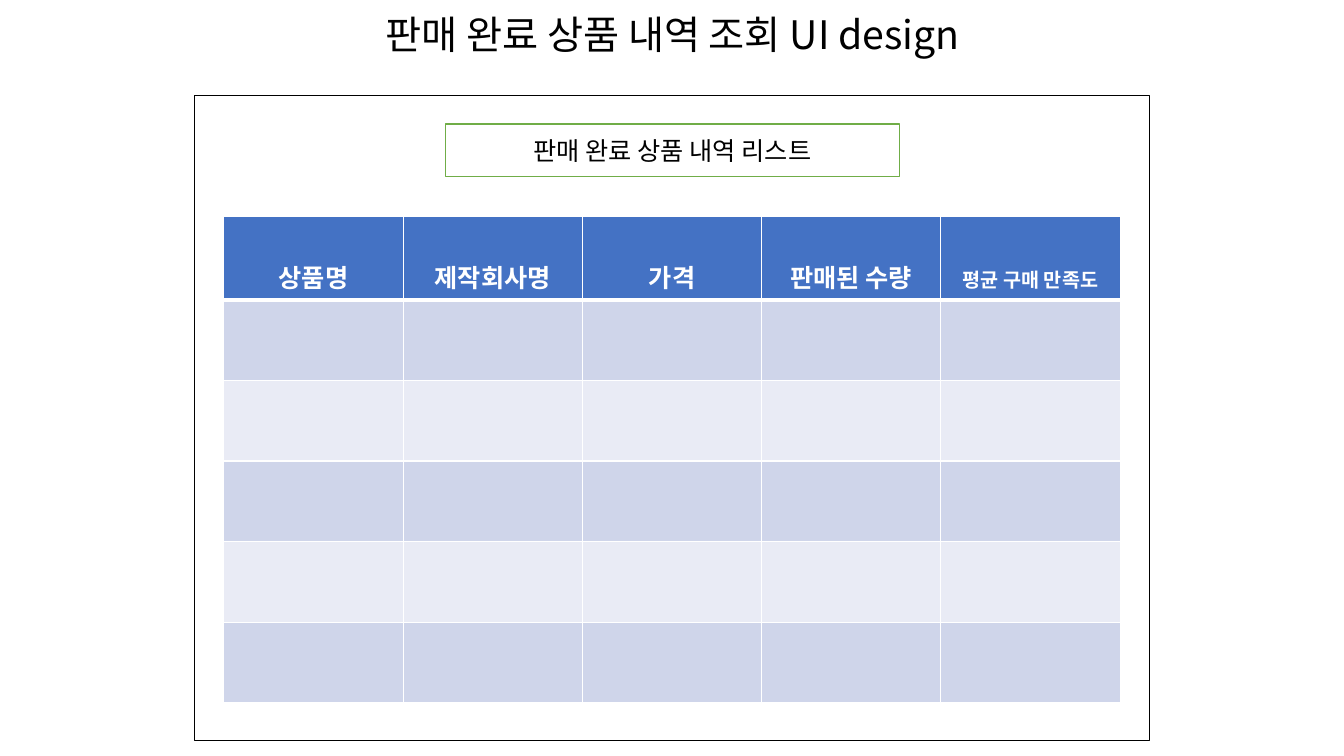
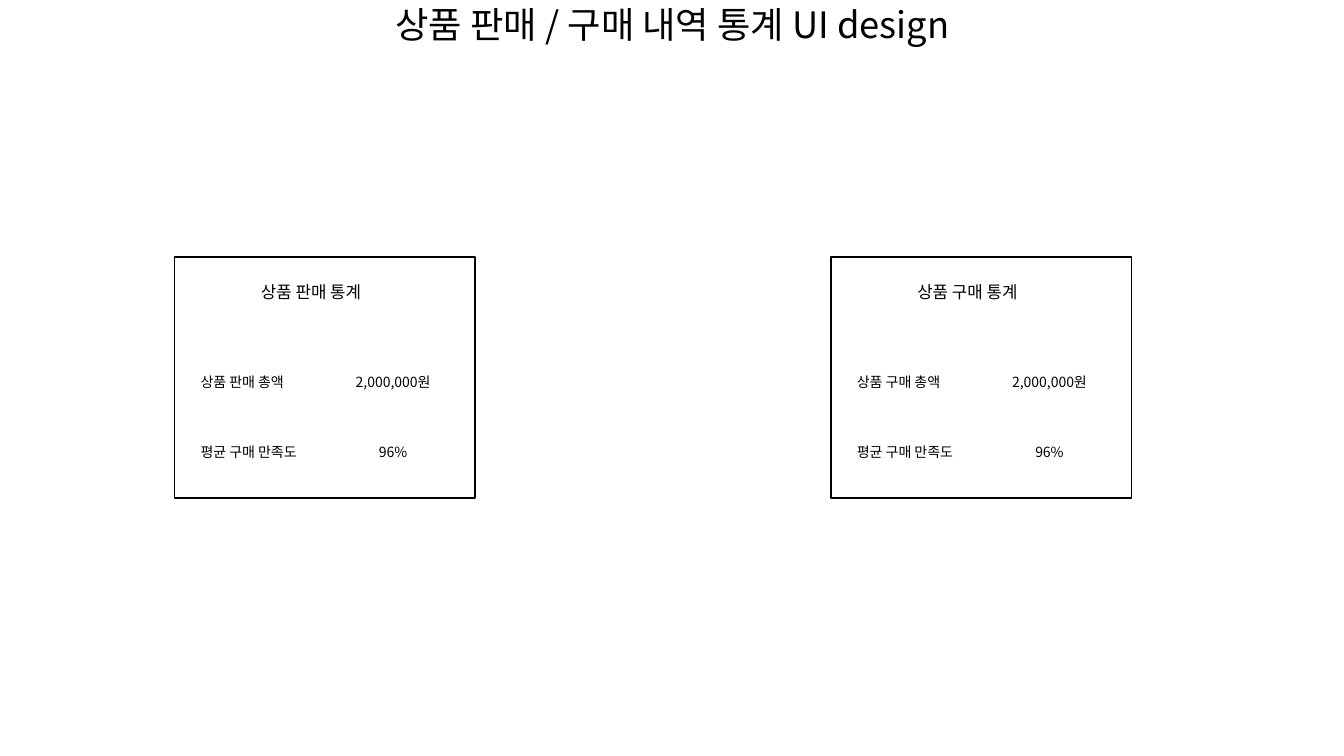
from lxml.etree import SubElement
from pptx import Presentation
from pptx.dml.color import RGBColor
from pptx.enum.shapes import MSO_SHAPE
from pptx.enum.text import MSO_ANCHOR, MSO_AUTO_SIZE, PP_ALIGN
from pptx.oxml.ns import qn
from pptx.util import Inches, Pt

# Shared style
FONT = "Noto Sans CJK KR"
BLACK, WHITE, GREEN, BLUE = "000000", "FFFFFF", "70AD47", "4472C4"
BANDS = ("CFD5EA", "E9EBF5")

# Content
SALES_TITLE = "판매 완료 상품 내역 조회 UI design"
LIST_HEADING = "판매 완료 상품 내역 리스트"
COLUMNS = [  # label, size, line spacing
    ("상품명", 18, 2), ("제작회사명", 18, 2), ("가격", 18, 2),
    ("판매된 수량", 18, 2), ("평균 구매 만족도", 14, 2.5),
]
EMPTY_ROWS = 5

STATS_TITLE = "상품 판매 / 구매 내역 통계 UI design"
CARDS = [  # left, heading, rows
    (1.73, "상품 판매 통계",
     [("상품 판매 총액", "2,000,000원"), ("평균 구매 만족도", "96%")]),
    (8.24, "상품 구매 통계",
     [("상품 구매 총액", "2,000,000원"), ("평균 구매 만족도", "96%")]),
]
CARD_TOP, ROW_TOP, ROW_STEP, VALUE_CENTER = 2.55, 3.66, 0.69, 1.91


def rgb(color):
    return RGBColor.from_string(color)


def box(*lengths):
    return [Inches(length) for length in lengths]


def write(frame, text, size=18, color=BLACK, bold=False,
          align=PP_ALIGN.LEFT, spacing=1.0):
    paragraph = frame.paragraphs[0]
    paragraph.alignment = align
    paragraph.line_spacing = spacing
    run = paragraph.add_run()
    run.text = text
    run.font.size, run.font.bold, run.font.name = Pt(size), bold, FONT
    run.font.color.rgb = rgb(color)
    SubElement(run.font._element, qn("a:ea"), typeface=FONT)
    return paragraph


def add_titled_slide(deck, title, top, height, size, spacing):
    slide = deck.slides.add_slide(deck.slide_layouts[5])
    heading = slide.shapes.title
    heading.left, heading.top, heading.width, heading.height = box(
        0.92, top, 11.5, height)
    frame = heading.text_frame
    frame.auto_size = MSO_AUTO_SIZE.NONE
    frame.vertical_anchor = MSO_ANCHOR.TOP
    frame.margin_top = frame.margin_bottom = 0
    write(frame, title, size=size, align=PP_ALIGN.CENTER, spacing=spacing)
    return slide


def add_panel(shapes, left, top, width, height, line=BLACK):
    panel = shapes.add_shape(MSO_SHAPE.RECTANGLE, *box(left, top, width, height))
    panel.shadow.inherit = False
    panel.fill.solid()
    panel.fill.fore_color.rgb = rgb(WHITE)
    panel.line.color.rgb = rgb(line)
    panel.line.width = Pt(1)
    return panel


def add_label(shapes, text, left, top, width, height, size):
    label = shapes.add_textbox(*box(left, top, width, height))
    label.text_frame.word_wrap = True
    label.text_frame.auto_size = MSO_AUTO_SIZE.SHAPE_TO_FIT_TEXT
    return write(label.text_frame, text, size=size)


def style_cell(cell, fill, top=1, bottom=1):
    # Borders come before the fill in the cell properties
    properties = cell._tc.get_or_add_tcPr()
    for side, width in (("L", 1), ("R", 1), ("T", top), ("B", bottom)):
        border = SubElement(properties, qn(f"a:ln{side}"), w=str(Pt(width)))
        border_fill = SubElement(border, qn("a:solidFill"))
        SubElement(border_fill, qn("a:srgbClr"), val=WHITE)
    cell.fill.solid()
    cell.fill.fore_color.rgb = rgb(fill)


def add_product_table(slide):
    table = slide.shapes.add_table(
        EMPTY_ROWS + 1, len(COLUMNS), *box(2.22, 2.15, 8.89, 4.8)).table
    for column, (label, size, spacing) in enumerate(COLUMNS):
        header = table.cell(0, column)
        style_cell(header, BLUE, bottom=3)
        write(header.text_frame, label, size=size, color=WHITE, bold=True,
              align=PP_ALIGN.CENTER, spacing=spacing)
        for row in range(1, EMPTY_ROWS + 1):
            style_cell(table.cell(row, column), BANDS[(row - 1) % 2],
                       top=3 if row == 1 else 1)


def add_card(slide, left, heading, rows):
    card = slide.shapes.add_group_shape().shapes
    add_panel(card, left, CARD_TOP, 2.98, 2.39)
    add_label(card, heading, left + 0.76, CARD_TOP + 0.2, 2.43, 0.3, size=12)
    for index, (label, value) in enumerate(rows):
        line = add_label(card, f"{label}\t{value}", left + 0.16,
                         ROW_TOP + index * ROW_STEP, 2.75, 0.27, size=10)
        tabs = SubElement(line._p.get_or_add_pPr(), qn("a:tabLst"))
        SubElement(tabs, qn("a:tab"), pos=str(Inches(VALUE_CENTER)), algn="ctr")


def main():
    deck = Presentation()
    deck.slide_width, deck.slide_height = box(13.33, 7.5)

    # Sold product list
    sales = add_titled_slide(deck, SALES_TITLE, 0.15, 0.54, 28, 0.9)
    add_panel(sales.shapes, 1.93, 0.95, 9.47, 6.4)
    list_heading = add_panel(sales.shapes, 4.42, 1.23, 4.5, 0.52, line=GREEN)
    list_heading.text_frame.vertical_anchor = MSO_ANCHOR.MIDDLE
    write(list_heading.text_frame, LIST_HEADING, align=PP_ALIGN.CENTER)
    add_product_table(sales)

    # Sales and purchase statistics
    stats = add_titled_slide(deck, STATS_TITLE, 0.14, 0.42, 25.9, 0.7)
    for card in CARDS:
        add_card(stats, *card)

    deck.save("out.pptx")


if __name__ == "__main__":
    main()
